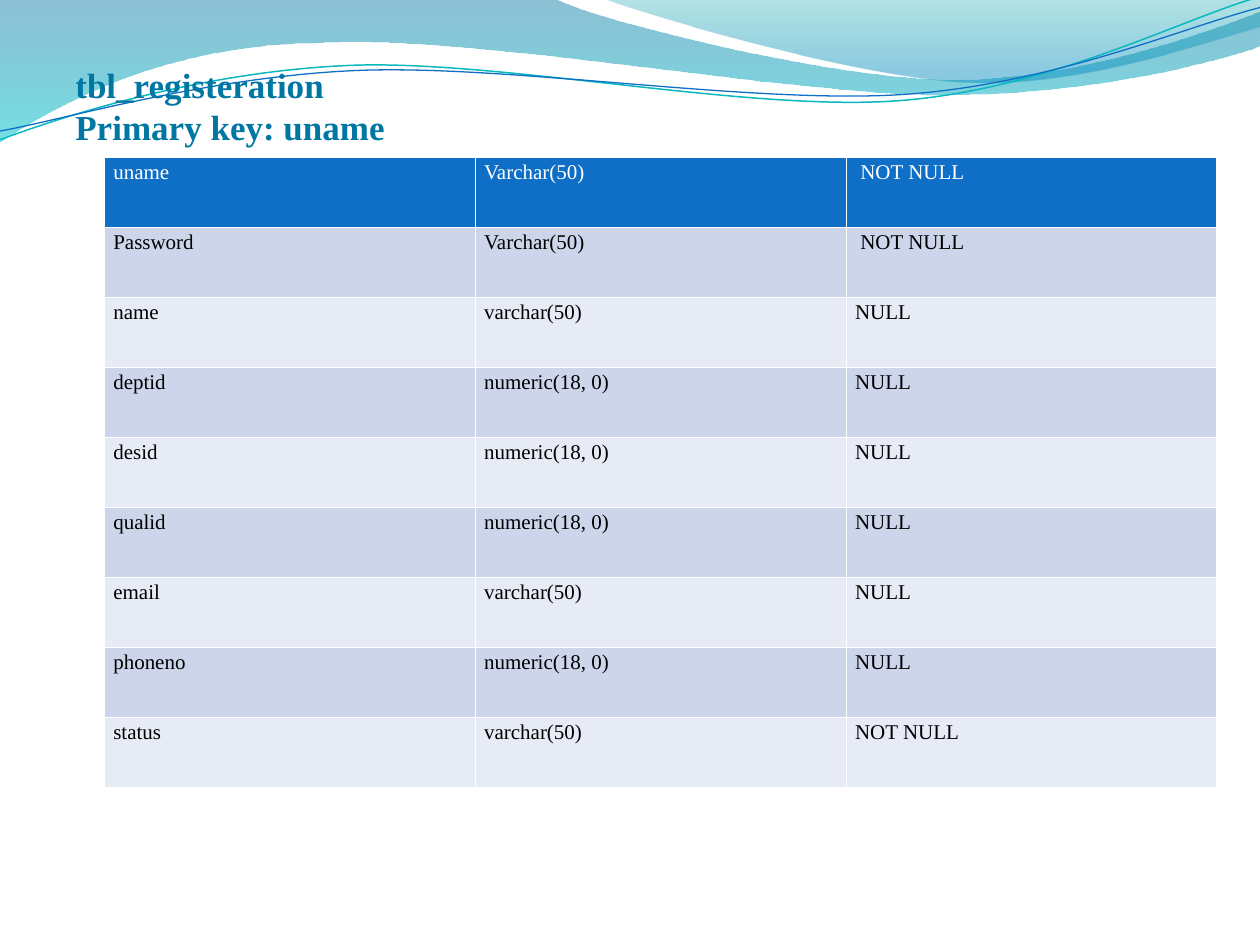
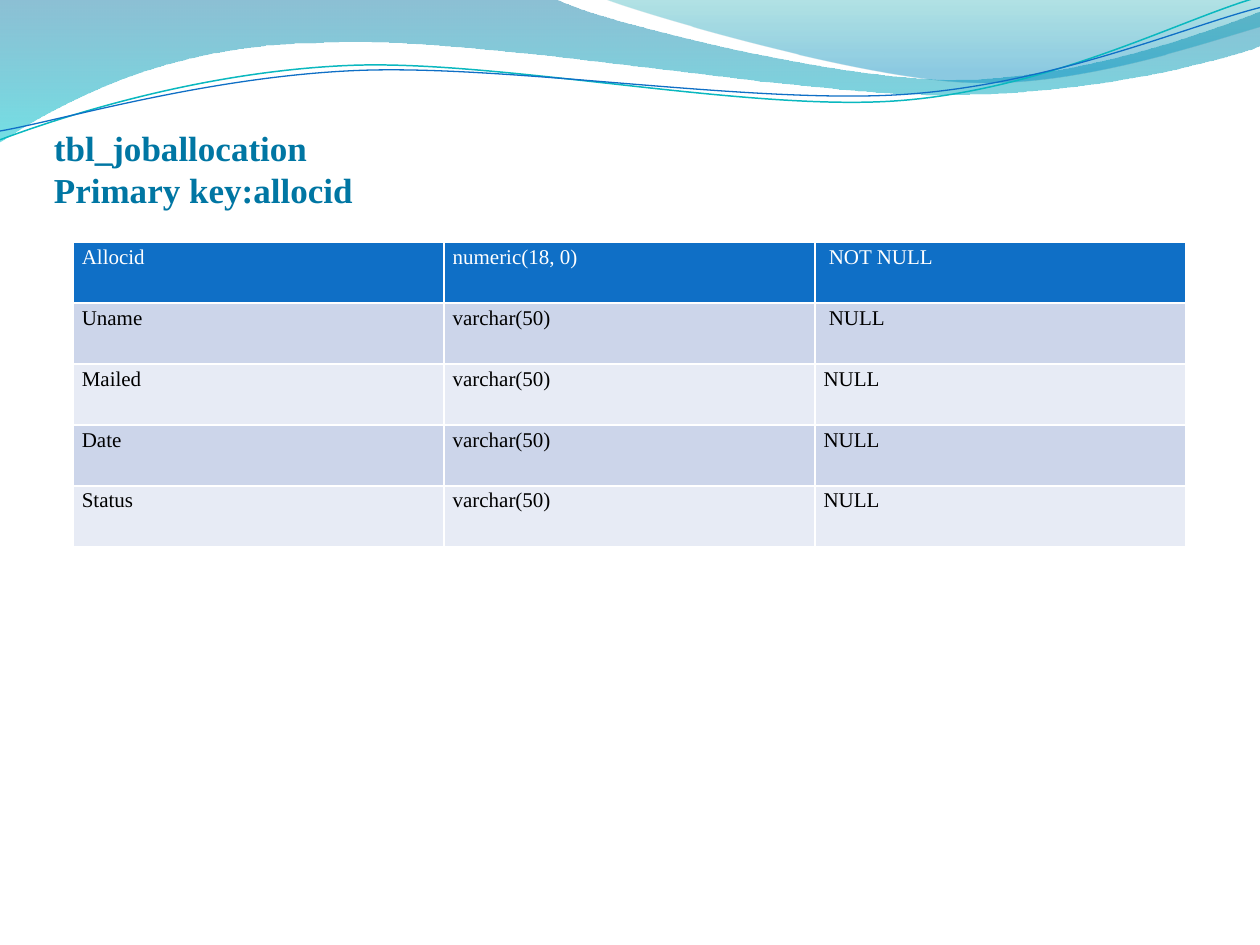
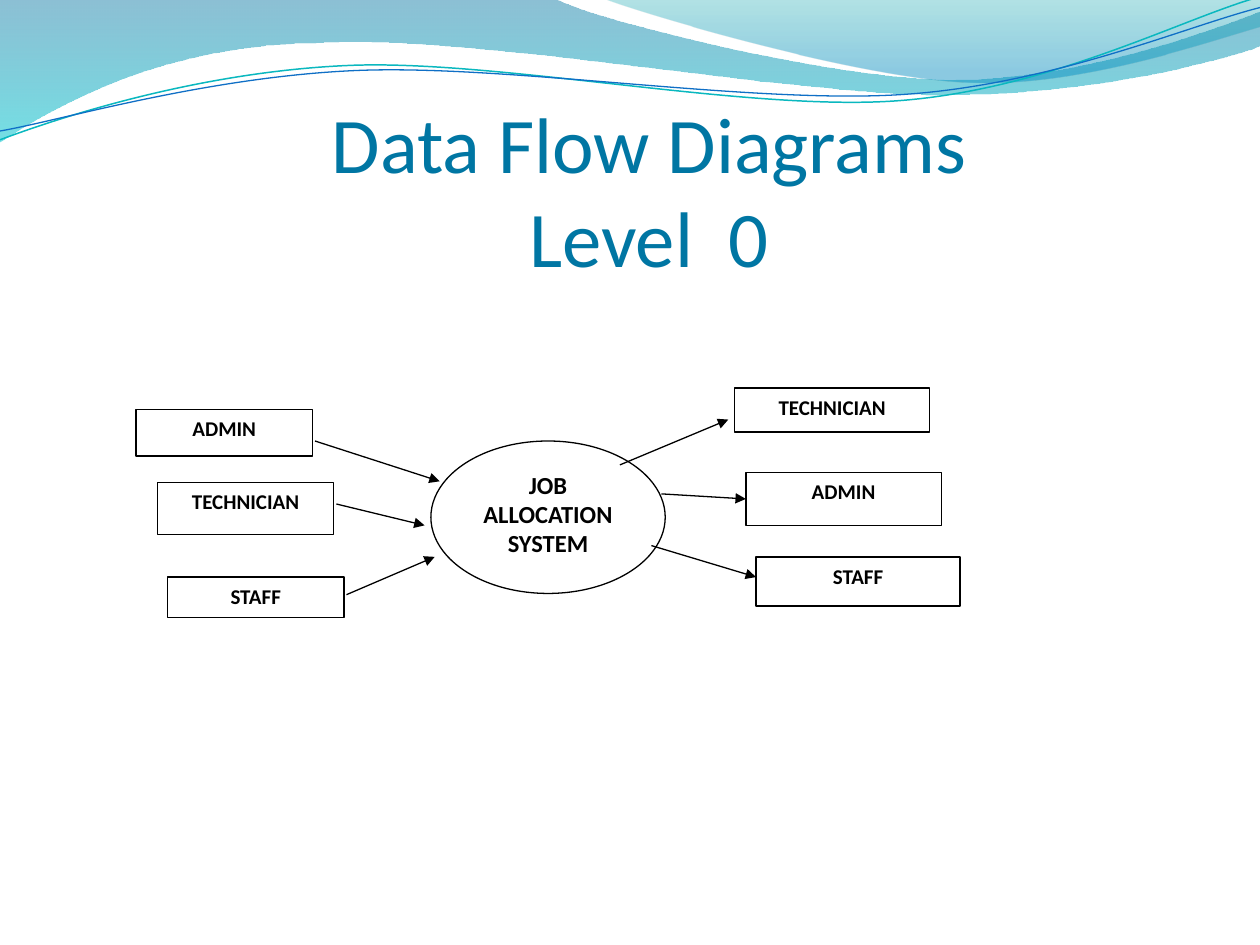
from dataclasses import dataclass
from typing import Optional

from lxml.etree import SubElement
from pptx import Presentation
from pptx.dml.color import RGBColor
from pptx.enum.shapes import MSO_CONNECTOR, MSO_SHAPE
from pptx.enum.text import MSO_ANCHOR, PP_ALIGN
from pptx.oxml.ns import qn
from pptx.util import Inches, Pt

COLORS = {
    "title": "0076A3",
    "header": "0F6FC6",
    "odd_row": "CCD5EA",
    "even_row": "E7EBF5",
    "white": "FFFFFF",
    "black": "000000",
    "wave_blue": "0074A1",
    "wave_aqua": "00C6CF",
    "crest_teal": "00A1A9",
    "crest_blue": "008BBF",
    "line_teal": "0AB8BF",
    "line_blue": "0F6FC6",
}
SERIF = "Times New Roman"
SANS = "Calibri"
LEFT_SIDE = 1

Point = tuple[float, float]
Segment = tuple[Point, ...]


@dataclass(frozen=True)
class GradientStop:
    position: float
    color: str
    opacity: int


@dataclass(frozen=True)
class Wave:
    start: Point
    segments: tuple[Segment, ...]
    stops: tuple[GradientStop, ...] = ()
    line_color: str = ""
    line_width: float = 0


@dataclass(frozen=True)
class Title:
    text: str
    left: float
    top: float
    height: float
    font: str = SERIF
    size: int = 20
    bold: bool = True
    align: PP_ALIGN = PP_ALIGN.LEFT
    anchor: MSO_ANCHOR = MSO_ANCHOR.MIDDLE
    margins: tuple[float, float, float, float] = (0.1, 0.05, 0.1, 0.05)


@dataclass(frozen=True)
class SchemaPage:
    title: Title
    left: float
    top: float
    height: float
    rows: tuple[tuple[str, str, str], ...]


@dataclass(frozen=True)
class Flow:
    start: Point
    end: Point
    joins_box: bool = False


@dataclass(frozen=True)
class Node:
    text: str
    left: float
    top: float
    width: float
    height: float
    flow: Optional[Flow] = None
    size: int = 12
    outline: MSO_SHAPE = MSO_SHAPE.RECTANGLE


WAVES = (
    Wave(
        (0, -0.01),
        (
            ((4.4, -0.01),),
            ((4.76, 0.17), (6.64, 0.63), (7.58, 0.63)),
            ((8.53, 0.63), (9.58, 0.26), (10, 0.09)),
            ((10.01, 0.36),),
            ((9.83, 0.44), (8.7, 0.76), (7.46, 0.75)),
            ((6.22, 0.75), (3.82, 0.28), (2.57, 0.34)),
            ((1.29, 0.35), (0.46, 0.83), (-0.01, 1.13)),
        ),
        stops=(GradientStop(0, "wave_blue", 45), GradientStop(1, "wave_aqua", 55)),
    ),
    Wave(
        (4.79, -0.01),
        (
            ((5.09, 0.11), (6.82, 0.62), (7.69, 0.65)),
            ((8.56, 0.69), (9.61, 0.32), (10, 0.21)),
            ((10, 0),),
        ),
        stops=(GradientStop(0, "crest_teal", 30), GradientStop(0.8, "crest_blue", 45)),
    ),
    Wave(
        (0, 1.11),
        (
            ((0.48, 0.93), (1.58, 0.57), (2.77, 0.52)),
            ((3.95, 0.47), (5.93, 0.89), (7.13, 0.8)),
            ((8.33, 0.71), (9.38, 0.15), (9.98, -0.02)),
        ),
        line_color="line_teal",
        line_width=0.85,
    ),
    Wave(
        (0, 1.04),
        (
            ((0.47, 0.96), (1.64, 0.61), (2.83, 0.56)),
            ((4.03, 0.51), (5.97, 0.83), (7.17, 0.75)),
            ((8.36, 0.67), (9.41, 0.21), (10, 0.06)),
        ),
        line_color="line_blue",
        line_width=0.75,
    ),
)

SCHEMA_PAGES = (
    SchemaPage(
        Title("tbl_registeration\nPrimary key: uname", 0.5, 0.42, 0.83),
        0.83, 1.25, 5,
        (
            ("uname", "Varchar(50)", " NOT NULL"),
            ("Password", "Varchar(50)", " NOT NULL"),
            ("name", "varchar(50)", "NULL"),
            ("deptid", "numeric(18, 0)", "NULL"),
            ("desid", "numeric(18, 0)", "NULL"),
            ("qualid", "numeric(18, 0)", "NULL"),
            ("email", "varchar(50)", "NULL"),
            ("phoneno", "numeric(18, 0)", "NULL"),
            ("status", "varchar(50)", "NOT NULL"),
        ),
    ),
    SchemaPage(
        Title("tbl_joballocation\nPrimary key:allocid", 0.33, 0.92, 0.83),
        0.58, 1.92, 2.42,
        (
            ("Allocid", "numeric(18, 0)", " NOT NULL"),
            ("Uname", "varchar(50)", " NULL"),
            ("Mailed", "varchar(50)", "NULL"),
            ("Date", "varchar(50)", "NULL"),
            ("Status", "varchar(50)", "NULL"),
        ),
    ),
)

DIAGRAM_TITLE = Title(
    " Data Flow Diagrams\v Level  0", 0.58, 1, 1.25,
    font=SANS, size=45, bold=False, align=PP_ALIGN.CENTER,
    anchor=MSO_ANCHOR.BOTTOM, margins=(0, 0.05, 0, 0),
)
DIAGRAM_NODES = (
    Node("JOB ALLOCATION SYSTEM", 3.42, 3.5, 1.86, 1.21, size=14, outline=MSO_SHAPE.OVAL),
    Node("ADMIN", 1.08, 3.25, 1.4, 0.37, Flow((2.5, 3.5), (3.49, 3.82))),
    Node("TECHNICIAN", 1.25, 3.83, 1.4, 0.41, Flow((2.67, 4), (3.37, 4.17))),
    Node("STAFF", 1.33, 4.58, 1.4, 0.32, Flow((2.75, 4.72), (3.45, 4.42))),
    Node("TECHNICIAN", 5.83, 3.08, 1.55, 0.35, Flow((4.92, 3.69), (5.78, 3.33))),
    Node("ADMIN", 5.92, 3.75, 1.55, 0.42, Flow((5.25, 3.92), (5.92, 3.96), True)),
    Node("STAFF", 6, 4.42, 1.62, 0.39, Flow((5.17, 4.33), (6, 4.58))),
)


def rgb(name: str) -> RGBColor:
    return RGBColor.from_string(COLORS[name])


def set_font(paragraph, font: str, size: int, color: str, bold: bool = False) -> None:
    paragraph.font.name = font
    paragraph.font.size = Pt(size)
    paragraph.font.bold = bold
    paragraph.font.color.rgb = rgb(color)


def set_margins(frame, margins: tuple[float, float, float, float]) -> None:
    frame.margin_left, frame.margin_top, frame.margin_right, frame.margin_bottom = (
        Inches(margin) for margin in margins
    )


def bend_outline(shape, segments: tuple[Segment, ...]) -> None:
    outline = next(shape.element.iter(qn("a:path")))
    lines = iter(outline.findall(qn("a:lnTo")))
    for segment in segments:
        parts = [next(lines) for _ in segment]
        if len(parts) == 1:
            continue
        curve = SubElement(outline, qn("a:cubicBezTo"))
        parts[0].addprevious(curve)
        for part in parts:
            curve.append(part[0])
            outline.remove(part)


def draw_wave(page, wave: Wave):
    points = [wave.start] + [point for segment in wave.segments for point in segment]
    vertices = [(Inches(x), Inches(y)) for x, y in points]
    builder = page.shapes.build_freeform(*vertices[0])
    builder.add_line_segments(vertices[1:], close=bool(wave.stops))
    shape = builder.convert_to_shape()
    bend_outline(shape, wave.segments)
    shape.shadow.inherit = False
    if not wave.stops:
        shape.fill.background()
        shape.line.color.rgb = rgb(wave.line_color)
        shape.line.width = Pt(wave.line_width)
        return shape
    shape.line.fill.background()
    shape.fill.gradient()
    shape.fill.gradient_angle = 270
    for gradient_stop, stop in zip(shape.fill.gradient_stops, wave.stops):
        gradient_stop.position = stop.position
        gradient_stop.color.rgb = rgb(stop.color)
    for color, stop in zip(shape.element.iter(qn("a:srgbClr")), wave.stops):
        SubElement(color, qn("a:alpha"), val=str(stop.opacity * 1000))
    return shape


def move_waves_to_layout(page) -> None:
    layout = page.slide_layout
    tree = layout.shapes.element
    for placeholder in list(layout.placeholders):
        tree.remove(placeholder.element)
    for shape in [draw_wave(page, wave) for wave in WAVES]:
        tree.append(shape.element)


def draw_title(page, title: Title) -> None:
    box = page.shapes.add_textbox(
        Inches(title.left), Inches(title.top), Inches(9), Inches(title.height)
    )
    frame = box.text_frame
    frame.word_wrap = True
    frame.vertical_anchor = title.anchor
    set_margins(frame, title.margins)
    frame.text = title.text
    for paragraph in frame.paragraphs:
        paragraph.alignment = title.align
        set_font(paragraph, title.font, title.size, "title", title.bold)


def add_page(deck, title: Title):
    page = deck.slides.add_slide(deck.slide_layouts[6])
    if len(deck.slides) == 1:
        move_waves_to_layout(page)
    draw_title(page, title)
    return page


def set_borders(cell) -> None:
    properties = cell._tc.get_or_add_tcPr()
    for tag in ("a:lnL", "a:lnR", "a:lnT", "a:lnB"):
        border = SubElement(properties, qn(tag), w=str(Pt(1)))
        fill = SubElement(border, qn("a:solidFill"))
        SubElement(fill, qn("a:srgbClr"), val=COLORS["white"])


def draw_schema(page, schema: SchemaPage) -> None:
    table = page.shapes.add_table(
        len(schema.rows), len(schema.rows[0]),
        Inches(schema.left), Inches(schema.top), Inches(8.83), Inches(schema.height),
    ).table
    for row_index, row in enumerate(schema.rows):
        is_header = row_index == 0
        band = "header" if is_header else ("even_row", "odd_row")[row_index % 2]
        for column_index, text in enumerate(row):
            cell = table.cell(row_index, column_index)
            set_borders(cell)
            cell.fill.solid()
            cell.fill.fore_color.rgb = rgb(band)
            set_margins(cell, (0.07, 0, 0.07, 0))
            cell.text = text
            paragraph = cell.text_frame.paragraphs[0]
            paragraph.line_spacing = 1.15
            set_font(paragraph, SERIF, 12, "white" if is_header else "black")


def draw_flow(page, flow: Flow, box) -> None:
    connector = page.shapes.add_connector(
        MSO_CONNECTOR.STRAIGHT, *(Inches(value) for value in flow.start + flow.end)
    )
    if flow.joins_box:
        connector.end_connect(box, LEFT_SIDE)
    connector.line.color.rgb = rgb("black")
    connector.line.width = Pt(0.75)
    properties = connector.element.find(qn("p:spPr"))
    SubElement(properties.find(qn("a:ln")), qn("a:tailEnd"), type="triangle")
    SubElement(properties, qn("a:effectLst"))


def draw_node(page, node: Node) -> None:
    box = page.shapes.add_shape(
        node.outline, Inches(node.left), Inches(node.top),
        Inches(node.width), Inches(node.height),
    )
    box.shadow.inherit = False
    box.fill.solid()
    box.fill.fore_color.rgb = rgb("white")
    box.line.color.rgb = rgb("black")
    box.line.width = Pt(0.75)
    frame = box.text_frame
    frame.word_wrap = True
    frame.vertical_anchor = MSO_ANCHOR.TOP
    frame.text = node.text
    paragraph = frame.paragraphs[0]
    paragraph.alignment = PP_ALIGN.CENTER
    set_font(paragraph, SANS, node.size, "black", True)
    if node.flow:
        draw_flow(page, node.flow, box)


def main() -> None:
    deck = Presentation()
    deck.slide_width = Inches(10)
    deck.slide_height = Inches(7.5)
    for schema in SCHEMA_PAGES:
        draw_schema(add_page(deck, schema.title), schema)
    diagram = add_page(deck, DIAGRAM_TITLE)
    for node in DIAGRAM_NODES:
        draw_node(diagram, node)
    deck.save("out.pptx")


if __name__ == "__main__":
    main()
